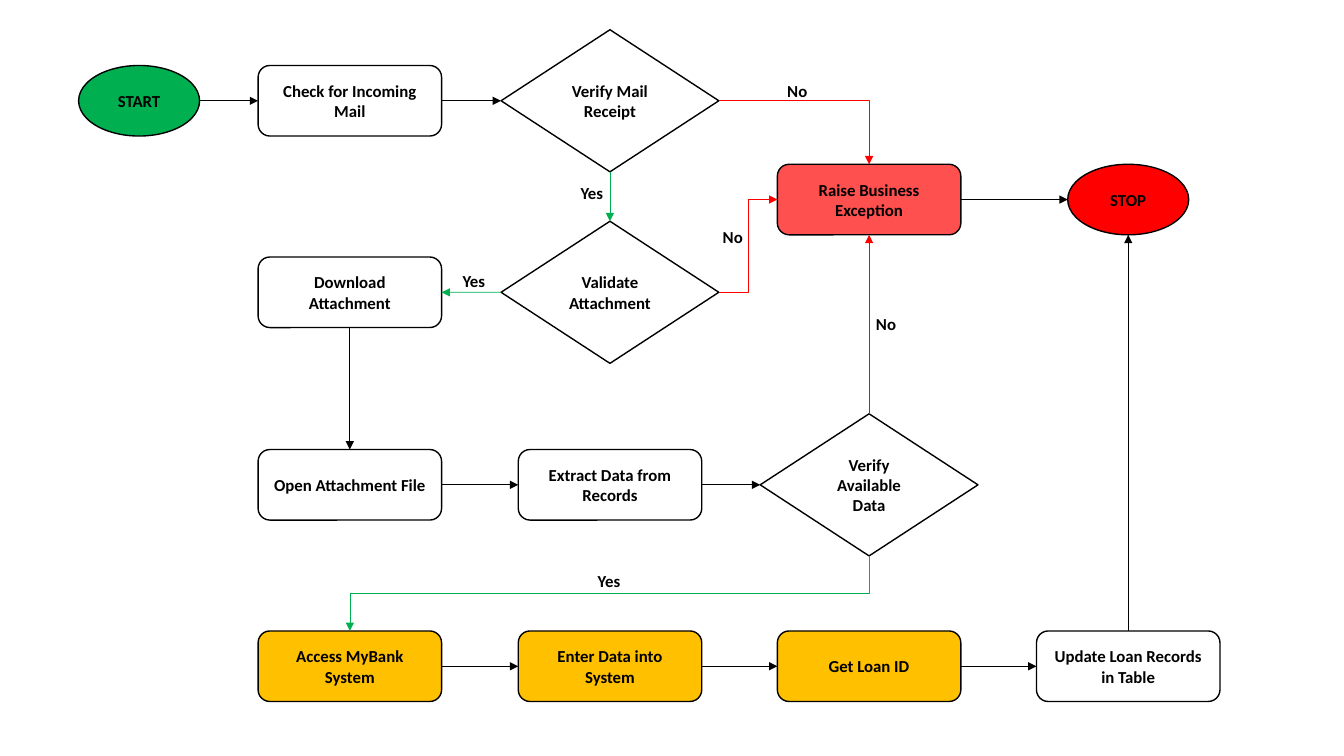
from lxml.etree import SubElement
from pptx import Presentation
from pptx.dml.color import RGBColor
from pptx.enum.shapes import MSO_CONNECTOR, MSO_SHAPE
from pptx.enum.text import MSO_ANCHOR, PP_ALIGN
from pptx.oxml.ns import qn
from pptx.util import Inches, Pt

BLACK = RGBColor(0x00, 0x00, 0x00)
WHITE = RGBColor(0xFF, 0xFF, 0xFF)
GREEN = RGBColor(0x00, 0xB0, 0x50)
RED = RGBColor(0xFF, 0x00, 0x00)
CORAL = RGBColor(0xFF, 0x50, 0x50)
AMBER = RGBColor(0xFF, 0xC0, 0x00)

TOP, LEFT, BOTTOM, RIGHT = range(4)
OVAL, STEP, DECISION = MSO_SHAPE.OVAL, MSO_SHAPE.ROUNDED_RECTANGLE, MSO_SHAPE.DIAMOND
SIZES = {OVAL: (1.2, 0.7), STEP: (1.82, 0.7), DECISION: (2.16, 1.41)}

# Centres of the grid's columns and rows, from the chart's top left corner
COLUMNS = (0.6, 2.69, 5.27, 7.84, 10.41)
ROWS = (0.71, 1.69, 2.61, 4.52, 6.32)

# name: text, kind, fill, column, row
NODES = {
    "start": ("START", OVAL, GREEN, 0, 0),
    "check": ("Check for Incoming Mail", STEP, WHITE, 1, 0),
    "validate": ("Validate Attachment", DECISION, WHITE, 2, 2),
    "download": ("Download Attachment", STEP, WHITE, 1, 2),
    "receipt": ("Verify Mail Receipt", DECISION, WHITE, 2, 0),
    "exception": ("Raise Business Exception", STEP, CORAL, 3, 1),
    "open": ("Open Attachment File", STEP, WHITE, 1, 3),
    "extract": ("Extract Data from Records", STEP, WHITE, 2, 3),
    "available": ("Verify Available Data", DECISION, WHITE, 3, 3),
    "access": ("Access MyBank System", STEP, AMBER, 1, 4),
    "enter": ("Enter Data into System", STEP, AMBER, 2, 4),
    "loan": ("Get Loan ID", STEP, AMBER, 3, 4),
    "update": ("Update Loan Records in Table", STEP, WHITE, 4, 4),
    "stop": ("STOP", OVAL, RED, 4, 1),
}

# from, side, to, side, colour
LINKS = [
    ("start", RIGHT, "check", LEFT, BLACK),
    ("check", RIGHT, "receipt", LEFT, BLACK),
    ("receipt", BOTTOM, "validate", TOP, GREEN),
    ("validate", LEFT, "download", RIGHT, GREEN),
    ("download", BOTTOM, "open", TOP, BLACK),
    ("open", RIGHT, "extract", LEFT, BLACK),
    ("extract", RIGHT, "available", LEFT, BLACK),
    ("access", RIGHT, "enter", LEFT, BLACK),
    ("enter", RIGHT, "loan", LEFT, BLACK),
    ("loan", RIGHT, "update", LEFT, BLACK),
    ("update", TOP, "stop", BOTTOM, BLACK),
    ("exception", RIGHT, "stop", LEFT, BLACK),
    ("receipt", RIGHT, "exception", TOP, RED),
    ("validate", RIGHT, "exception", LEFT, RED),
    ("available", TOP, "exception", BOTTOM, RED),
    ("available", BOTTOM, "access", TOP, GREEN),
]

# text, left, top, width
LABELS = [
    ("No", 6.93, 0.46, 0.4),
    ("No", 7.81, 2.77, 0.4),
    ("No", 6.29, 1.91, 0.4),
    ("Yes", 4.88, 1.47, 0.43),
    ("Yes", 3.71, 2.35, 0.43),
    ("Yes", 5.05, 5.32, 0.43),
]


def write_text(box, text):
    box.text_frame.text = text
    font = box.text_frame.paragraphs[0].runs[0].font
    font.name, font.size, font.bold = "Calibri", Pt(12), True
    font.color.rgb = BLACK


def add_node(page, text, kind, fill, center_x, center_y):
    width, height = SIZES[kind]
    box = page.shapes.add_shape(
        kind, Inches(center_x - width / 2), Inches(center_y - height / 2),
        Inches(width), Inches(height))
    box.shadow.inherit = False
    box.fill.solid()
    box.fill.fore_color.rgb = fill
    box.line.color.rgb = BLACK
    box.line.width = Pt(1)
    write_text(box, text)
    box.text_frame.word_wrap = True
    box.text_frame.vertical_anchor = MSO_ANCHOR.MIDDLE
    box.text_frame.paragraphs[0].alignment = PP_ALIGN.CENTER
    return box


def side_point(box, side):
    middle_x, middle_y = box.left + box.width // 2, box.top + box.height // 2
    return {TOP: (middle_x, box.top), LEFT: (box.left, middle_y),
            BOTTOM: (middle_x, box.top + box.height),
            RIGHT: (box.left + box.width, middle_y)}[side]


def bend(connector, source_side, target_side):
    """Shape an elbow that turns once, or that leaves and arrives vertically."""
    properties = connector.element.spPr
    if (source_side, target_side) == (RIGHT, TOP):
        properties.find(qn("a:prstGeom")).set("prst", "bentConnector2")
    elif (source_side, target_side) == (BOTTOM, TOP):
        left, top = connector.left, connector.top
        width, height = connector.width, connector.height
        connector.left = left + (width - height) // 2
        connector.top = top + (height - width) // 2
        connector.width, connector.height = height, width
        frame = properties.find(qn("a:xfrm"))
        frame.set("rot", "5400000")
        frame.set("flipH", "0")


def add_link(page, source, source_side, target, target_side, color):
    begin, end = side_point(source, source_side), side_point(target, target_side)
    straight = any(abs(a - b) < Inches(0.01) for a, b in zip(begin, end))
    kind = MSO_CONNECTOR.STRAIGHT if straight else MSO_CONNECTOR.ELBOW
    connector = page.shapes.add_connector(kind, *begin, *end)
    # Ovals number their connection sites differently, so they stay unjoined
    if source.auto_shape_type != OVAL:
        connector.begin_connect(source, source_side)
    if target.auto_shape_type != OVAL:
        connector.end_connect(target, target_side)
    if not straight:
        bend(connector, source_side, target_side)
    connector.line.color.rgb = color
    connector.line.width = Pt(0.5)
    SubElement(connector.line._get_or_add_ln(), qn("a:tailEnd"), type="triangle")
    SubElement(connector.element.spPr, qn("a:effectLst"))


def add_label(page, text, left, top, width):
    box = page.shapes.add_textbox(
        Inches(left), Inches(top), Inches(width), Inches(0.3))
    box.text_frame.word_wrap = False
    write_text(box, text)


def draw_flowchart(page, left, top):
    boxes = {
        name: add_node(page, text, kind, fill, left + COLUMNS[column], top + ROWS[row])
        for name, (text, kind, fill, column, row) in NODES.items()
    }
    for source, source_side, target, target_side, color in LINKS:
        add_link(page, boxes[source], source_side, boxes[target], target_side, color)
    for text, label_left, label_top, width in LABELS:
        add_label(page, text, left + label_left, top + label_top, width)


def main():
    deck = Presentation()
    deck.slide_width, deck.slide_height = Inches(13.33), Inches(7.5)
    page = deck.slides.add_slide(deck.slide_layouts[6])
    draw_flowchart(page, 0.78, 0.29)
    deck.save("out.pptx")


if __name__ == "__main__":
    main()
